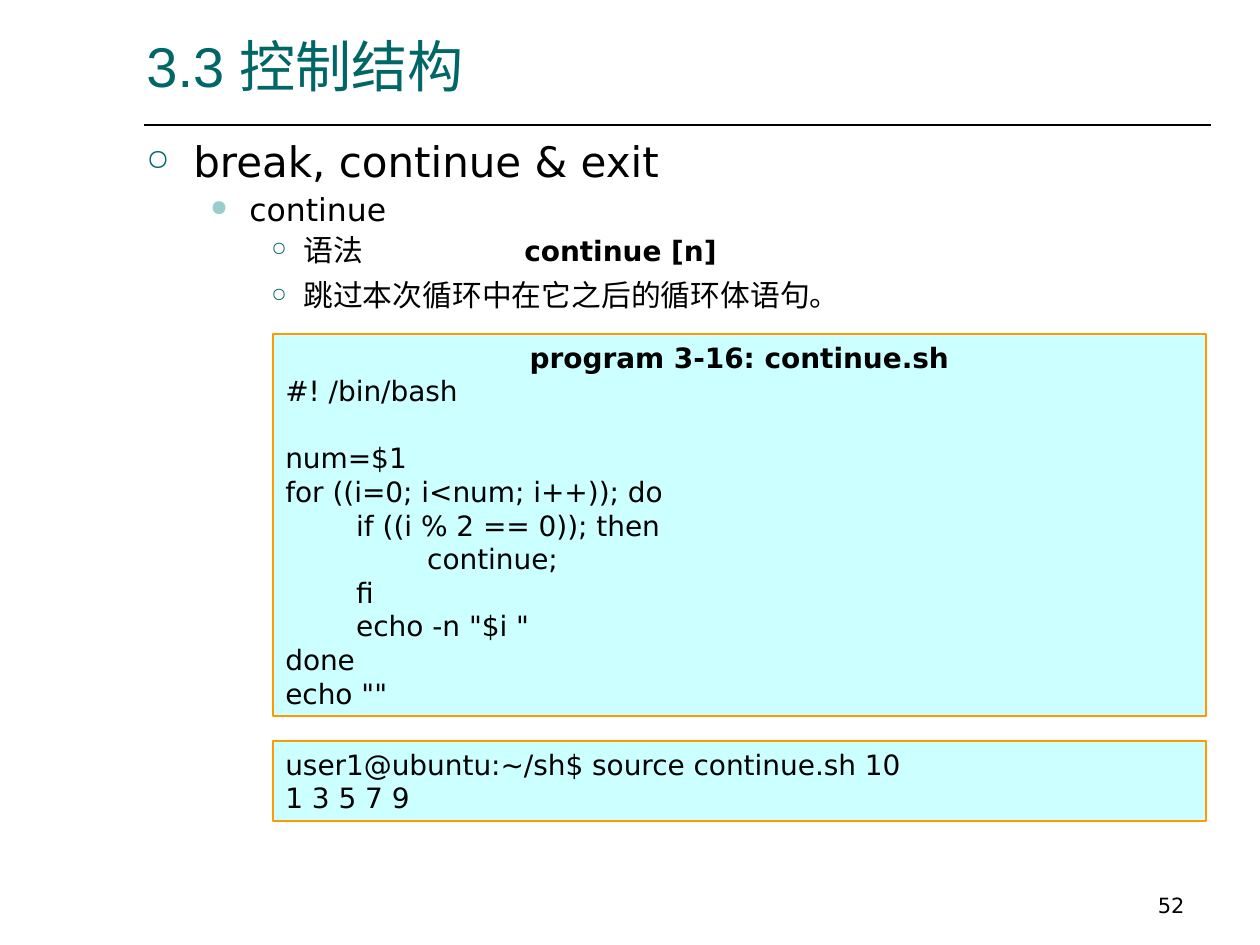
from lxml import etree
from pptx import Presentation
from pptx.dml.color import RGBColor
from pptx.enum.shapes import MSO_CONNECTOR as CONNECTOR, MSO_SHAPE as SHAPE
from pptx.enum.text import MSO_ANCHOR as ANCHOR, PP_ALIGN as ALIGN
from pptx.oxml.ns import qn
from pptx.util import Emu, Pt

PX = 914400 / 126
SANS = "DejaVu Sans"
TEAL, MINT, BLACK = "006666", "99CCCC", "000000"
CYAN, ORANGE = "CCFFFF", "FF9900"

# level: left margin and hanging indent (px), bullet, its colour and size (%)
BULLETS = [
    (47, 47, "○", TEAL, 70),
    (103, 39, "●", MINT, 70),
    (157, 32, "○", TEAL, 65),
]

PROGRAM = """#! /bin/bash

num=$1
for ((i=0; i<num; i++)); do
        if ((i % 2 == 0)); then
                continue;
        fi
        echo -n "$i "
done
echo \"\""""

SESSION = """user1@ubuntu:~/sh$ source continue.sh 10
1 3 5 7 9"""


def px(length):
    return Emu(round(length * PX))


def color(hex_code):
    return RGBColor.from_string(hex_code)


def child(parent, tag, **attributes):
    return etree.SubElement(parent, qn(tag), attributes)


def add_text(paragraph, text, size=16, font=SANS, fill=BLACK, bold=False):
    """Append one formatted run; an empty line keeps its text size."""
    if not text:
        child(paragraph._p, "a:endParaRPr", sz=str(size * 100))
        return
    run = paragraph.add_run()
    run.text = text
    run.font.size = Pt(size)
    run.font.name = font
    run.font.bold = bold
    run.font.color.rgb = color(fill)


def next_paragraph(frame):
    first = frame.paragraphs[0]
    return frame.add_paragraph() if first.runs else first


def add_bullet(frame, level, before=0, tabs=()):
    margin, hanging, mark, mark_color, percent = BULLETS[level]
    paragraph = next_paragraph(frame)
    paragraph.level = level
    properties = paragraph._p.get_or_add_pPr()
    properties.set("marL", str(px(margin)))
    properties.set("indent", str(-px(hanging)))
    child(child(properties, "a:buClr"), "a:srgbClr", val=mark_color)
    child(properties, "a:buSzPct", val=str(percent * 1000))
    child(properties, "a:buFont", typeface="OpenSymbol")
    child(properties, "a:buChar", char=mark)
    if tabs:
        stops = child(properties, "a:tabLst")
        for stop in tabs:
            child(stops, "a:tab", pos=str(px(stop)), algn="l")
    paragraph.line_spacing = 0.9
    if before:
        paragraph.space_before = Pt(before)
    return paragraph


def add_box(slide, left, top, width, height, anchor=ANCHOR.TOP):
    frame = slide.shapes.add_textbox(px(left), px(top), px(width), px(height)).text_frame
    frame.word_wrap = True
    frame.vertical_anchor = anchor
    return frame


def add_rule(slide, left, right, y):
    rule = slide.shapes.add_connector(CONNECTOR.STRAIGHT, px(left), px(y), px(right), px(y))
    rule.line.color.rgb = color(BLACK)
    rule.line.width = Pt(1)
    child(rule._element.spPr, "a:effectLst")


def add_code(slide, top, height, code, heading=None):
    panel = slide.shapes.add_shape(SHAPE.RECTANGLE, px(273), px(top), px(933), px(height))
    panel.shadow.inherit = False
    panel.fill.solid()
    panel.fill.fore_color.rgb = color(CYAN)
    panel.line.color.rgb = color(ORANGE)
    panel.line.width = Pt(0.75)
    frame = panel.text_frame
    frame.word_wrap = True
    frame.vertical_anchor = ANCHOR.TOP
    if heading:
        title = next_paragraph(frame)
        title.alignment = ALIGN.CENTER
        add_text(title, heading, bold=True)
    for line in code.split("\n"):
        paragraph = next_paragraph(frame)
        paragraph.alignment = ALIGN.LEFT
        add_text(paragraph, line)


def add_outline(slide):
    outline = add_box(slide, 134, 135, 1081, 149)
    add_text(add_bullet(outline, 0), "break, continue & exit", size=24)
    add_text(add_bullet(outline, 1, before=4.5), "continue", size=18)
    syntax = add_bullet(outline, 2, before=4, tabs=(252, 378))
    add_text(syntax, "语法", size=17)
    add_text(syntax, "\t \t", size=14)
    add_text(syntax, "continue [n]", bold=True)

    effect = add_box(slide, 134, 275, 1081, 49)
    add_text(add_bullet(effect, 2), "跳过本次循环中在它之后的循环体语句。", size=17)


def main():
    deck = Presentation()
    deck.slide_width, deck.slide_height = px(1260), px(945)
    slide = deck.slides.add_slide(deck.slide_layouts[6])

    # Title and rule
    title = add_box(slide, 134, 26, 1067, 79, ANCHOR.BOTTOM).paragraphs[0]
    add_text(title, "3.3 控制结构", size=32, font="Arial", fill=TEAL)
    add_rule(slide, 144, 1211, 125)

    # Bulleted outline
    add_outline(slide)

    # Program and its output
    add_code(slide, 334, 382, PROGRAM, heading="program 3-16: continue.sh")
    add_code(slide, 741, 80, SESSION)

    # Slide number
    number = add_box(slide, 903, 861, 294, 63, ANCHOR.BOTTOM).paragraphs[0]
    number.alignment = ALIGN.RIGHT
    add_text(number, "52", size=12)

    deck.save("out.pptx")


if __name__ == "__main__":
    main()
